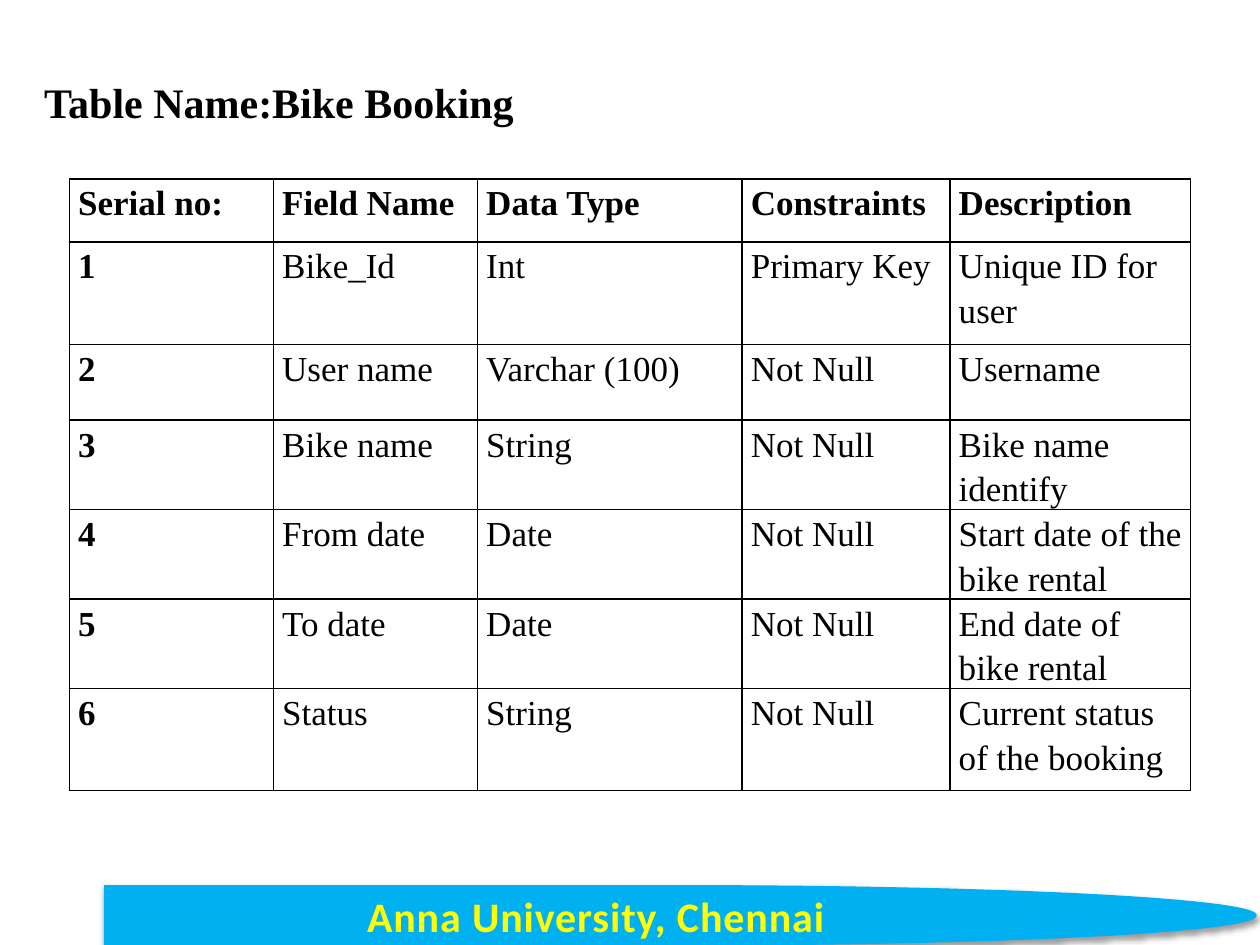
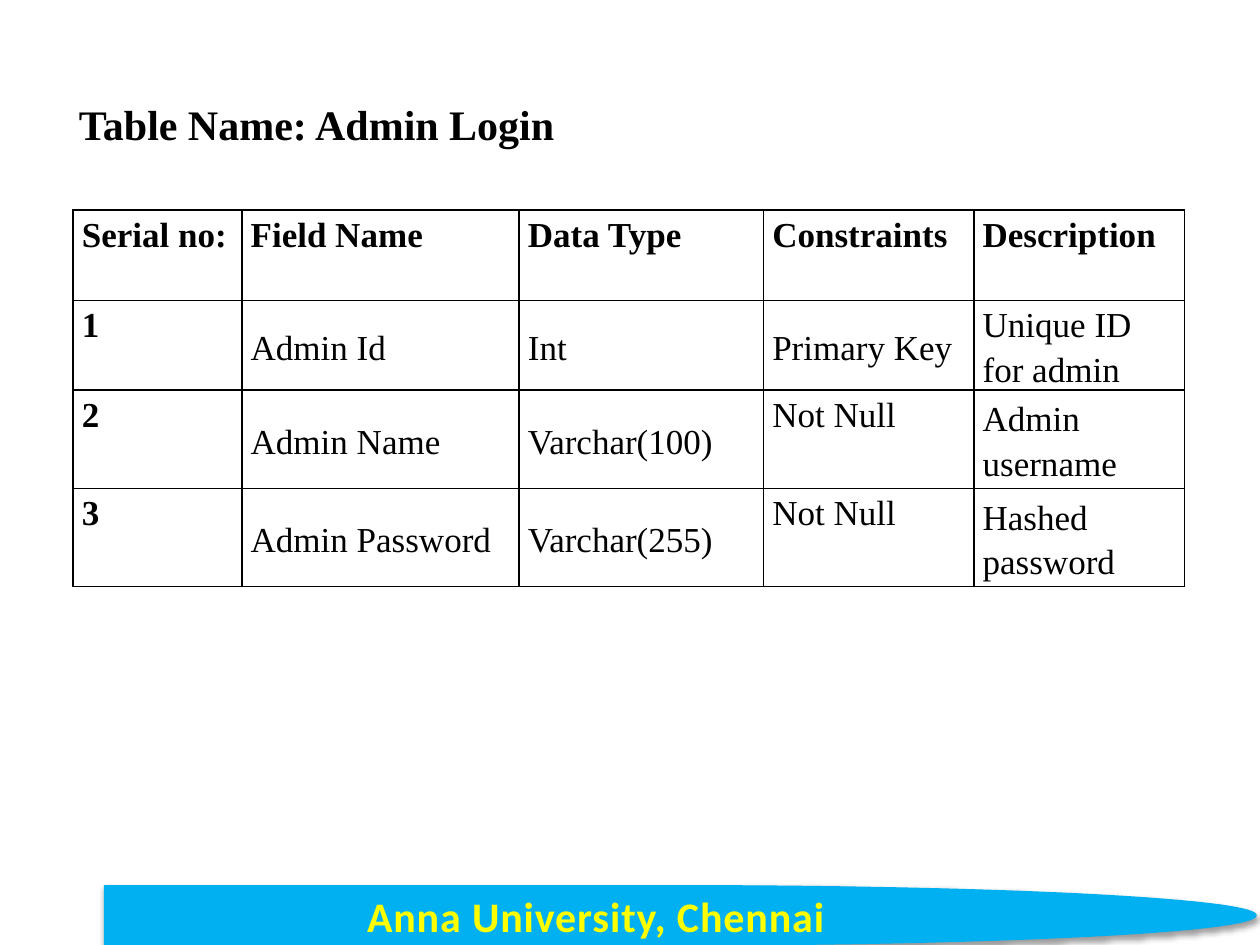
from dataclasses import dataclass

from lxml import etree
from pptx import Presentation
from pptx.dml.color import RGBColor
from pptx.enum.shapes import MSO_SHAPE
from pptx.enum.text import MSO_ANCHOR, MSO_AUTO_SIZE, PP_ALIGN
from pptx.oxml import parse_xml
from pptx.oxml.ns import nsdecls, qn
from pptx.util import Inches, Pt

DELAY = MSO_SHAPE.FLOWCHART_DELAY
TOP, MIDDLE = MSO_ANCHOR.TOP, MSO_ANCHOR.MIDDLE
LEFT, CENTER = PP_ALIGN.LEFT, PP_ALIGN.CENTER
FIXED = MSO_AUTO_SIZE.NONE
TITLE_ONLY = 5
SLIDE_W, SLIDE_H = Inches(10), Inches(7.5)


@dataclass(frozen=True)
class Theme:
    ink: str = "000000"
    paper: str = "FFFFFF"
    band: str = "00B0F0"
    band_text: str = "FFFF00"
    text_outline: str = "E78738"
    body_font: str = "Times New Roman"
    band_font: str = "Calibri"
    title_size: int = 24
    cell_size: int = 20
    spacing: float = 1.15
    header_gap: int = 10


THEME = Theme()
HEADER = ["Serial no:", "Field Name", "Data Type", "Constraints", "Description"]
FOOTER = "Anna University, Chennai"

# Lengths are percentages of the slide's width or height
BOOKING = {
    "title": "Table Name:Bike Booking",
    "title_at": (2.5, 7.47),
    "title_spacing": 1.0,
    "table_at": (5.5, 18.93),
    "cols": [16.2, 16.2, 21, 16.5, 19.1],
    "rows": [6.67, 10.87, 8, 9.47, 9.47, 9.47, 10.8],
    "body_gap": THEME.header_gap,
    "middle_cells": set(),
    "fields": [
        ("Bike_Id", "Int", "Primary Key", "Unique ID for user"),
        ("User name", "Varchar (100)", "Not Null", "Username"),
        ("Bike name", "String", "Not Null", "Bike name identify"),
        ("From date", "Date", "Not Null", "Start date of the bike rental"),
        ("To date", "Date", "Not Null", "End date of bike rental"),
        ("Status", "String", "Not Null", "Current status of the booking"),
    ],
}
ADMIN = {
    "title": "Table Name: Admin Login",
    "title_at": (5.25, 8.93),
    "title_spacing": THEME.spacing,
    "table_at": (5.8, 22.22),
    "cols": [13.4, 22, 19.4, 16.7, 16.7],
    "rows": [9.6, 9.47, 10.4, 10.4],
    "body_gap": 0,
    "middle_cells": {(1, 3)} | {(r, c) for r in (1, 2, 3) for c in (1, 2, 4)},
    "fields": [
        ("Admin Id", "Int", "Primary Key", "Unique ID for admin"),
        ("Admin Name", "Varchar(100)", "Not Null", "Admin username"),
        ("Admin Password", "Varchar(255)", "Not Null", "Hashed password"),
    ],
}


def across(percent):
    return round(SLIDE_W * percent / 100)


def down(percent):
    return round(SLIDE_H * percent / 100)


def set_all(target, values):
    for name, value in values.items():
        setattr(target, name, value)


def write(tf, text, font, size, color, bold=True, **paragraph):
    """Put one formatted run in the frame's first paragraph."""
    p = tf.paragraphs[0]
    set_all(p, paragraph)
    r = p.add_run()
    r.text = text
    set_all(r.font, {"name": font, "size": Pt(size), "bold": bold})
    r.font.color.rgb = RGBColor.from_string(color)
    return r


def add_title(s, table):
    left, top = table["title_at"]
    sp = s.shapes.title
    set_all(sp, {"left": across(left), "top": down(top),
                 "width": across(50), "height": down(7)})
    tf = sp.text_frame
    set_all(tf, {"vertical_anchor": TOP, "auto_size": FIXED, "word_wrap": True})
    write(tf, table["title"], THEME.body_font, THEME.title_size, THEME.ink,
          alignment=LEFT, line_spacing=table["title_spacing"])


def add_footer(s):
    sp = s.shapes.add_shape(DELAY, across(8.3), down(93.73), across(91.4), down(6.27))
    sp.fill.solid()
    sp.fill.fore_color.rgb = RGBColor.from_string(THEME.band)
    sp.line.color.rgb = RGBColor.from_string(THEME.band)
    sp.line.width = Pt(0.75)

    # Soft shadow straight below the band
    sp.shadow.inherit = False
    effects = sp._element.spPr.find(qn("a:effectLst"))
    effects.append(parse_xml(
        f'<a:outerShdw {nsdecls("a")} blurRad="{Pt(3.1)}" dist="{Pt(1.6)}" '
        'dir="5400000" rotWithShape="0"><a:srgbClr val="000000">'
        '<a:alpha val="38000"/></a:srgbClr></a:outerShdw>'))

    sp.text_frame.vertical_anchor = MIDDLE
    r = write(sp.text_frame, FOOTER, THEME.band_font, THEME.title_size,
              THEME.band_text, alignment=CENTER)
    rPr = r.font._element
    rPr.set("spc", "50")
    rPr.insert(0, solid_line("ln", THEME.text_outline))


def solid_line(tag, color):
    line = etree.Element(qn(f"a:{tag}"), w=str(Pt(1)))
    fill = etree.SubElement(line, qn("a:solidFill"))
    etree.SubElement(fill, qn("a:srgbClr"), val=color)
    return line


def format_cell(cell, anchor):
    set_all(cell, {"margin_left": Inches(0.07), "margin_right": Inches(0.07),
                   "margin_top": 0, "margin_bottom": 0, "vertical_anchor": anchor})
    # Borders come before the fill in the cell's properties
    tcPr = cell._tc.get_or_add_tcPr()
    for side in ("lnL", "lnR", "lnT", "lnB"):
        tcPr.append(solid_line(side, THEME.ink))
    cell.fill.solid()
    cell.fill.fore_color.rgb = RGBColor.from_string(THEME.paper)


def add_field_table(s, table):
    cols, rows = table["cols"], table["rows"]
    left, top = table["table_at"]
    tbl = s.shapes.add_table(len(rows), len(cols), across(left), down(top),
                             across(sum(cols)), down(sum(rows))).table
    set_all(tbl, {"first_row": False, "horz_banding": False})
    for column, width in zip(tbl.columns, cols):
        column.width = across(width)
    for row, height in zip(tbl.rows, rows):
        row.height = down(height)

    # Header, then numbered fields
    numbered = [(str(n), *field) for n, field in enumerate(table["fields"], 1)]
    for i, values in enumerate([HEADER, *numbered]):
        gap = table["body_gap"] if i else THEME.header_gap
        for j, value in enumerate(values):
            cell = tbl.cell(i, j)
            format_cell(cell, MIDDLE if (i, j) in table["middle_cells"] else TOP)
            write(cell.text_frame, value, THEME.body_font, THEME.cell_size, THEME.ink,
                  bold=i == 0 or j == 0, line_spacing=THEME.spacing,
                  space_after=Pt(gap))


def main():
    prs = Presentation()
    set_all(prs, {"slide_width": SLIDE_W, "slide_height": SLIDE_H})
    for table in (BOOKING, ADMIN):
        s = prs.slides.add_slide(prs.slide_layouts[TITLE_ONLY])
        add_footer(s)
        add_field_table(s, table)
        add_title(s, table)
    prs.save("out.pptx")


if __name__ == "__main__":
    main()
